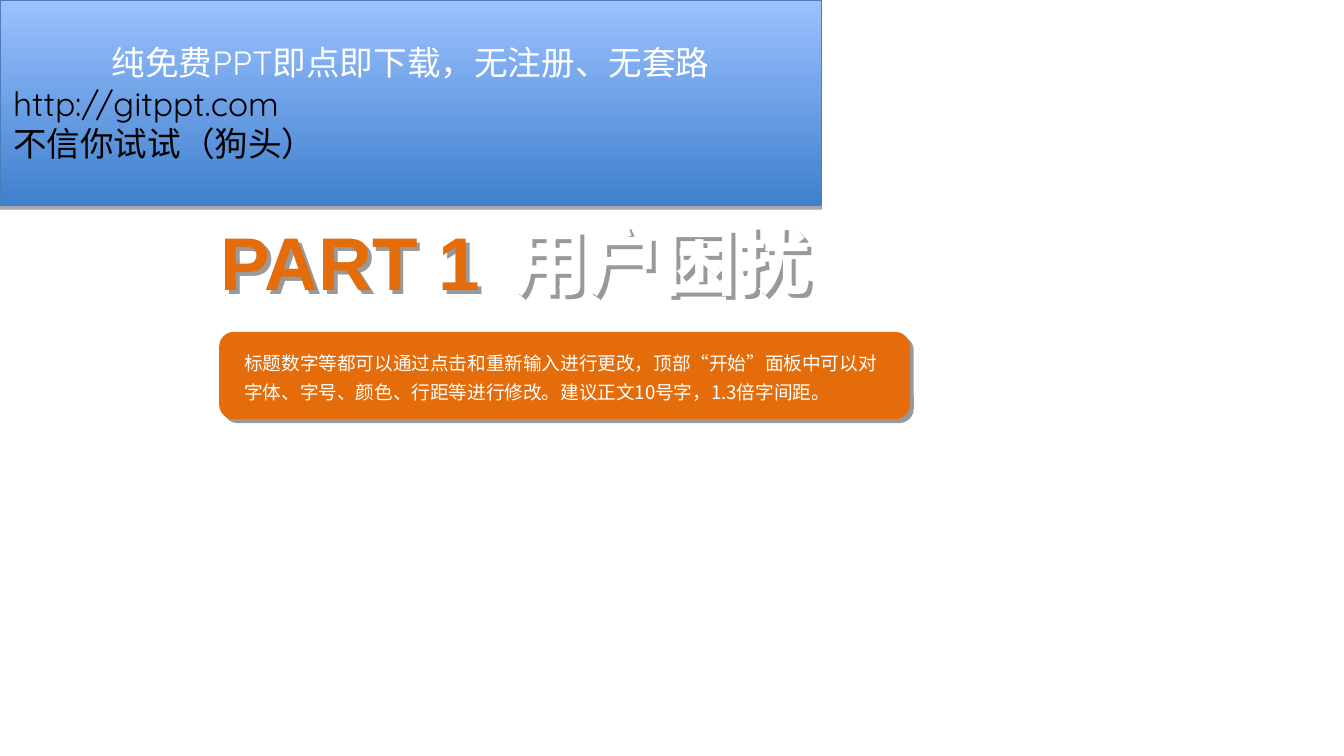
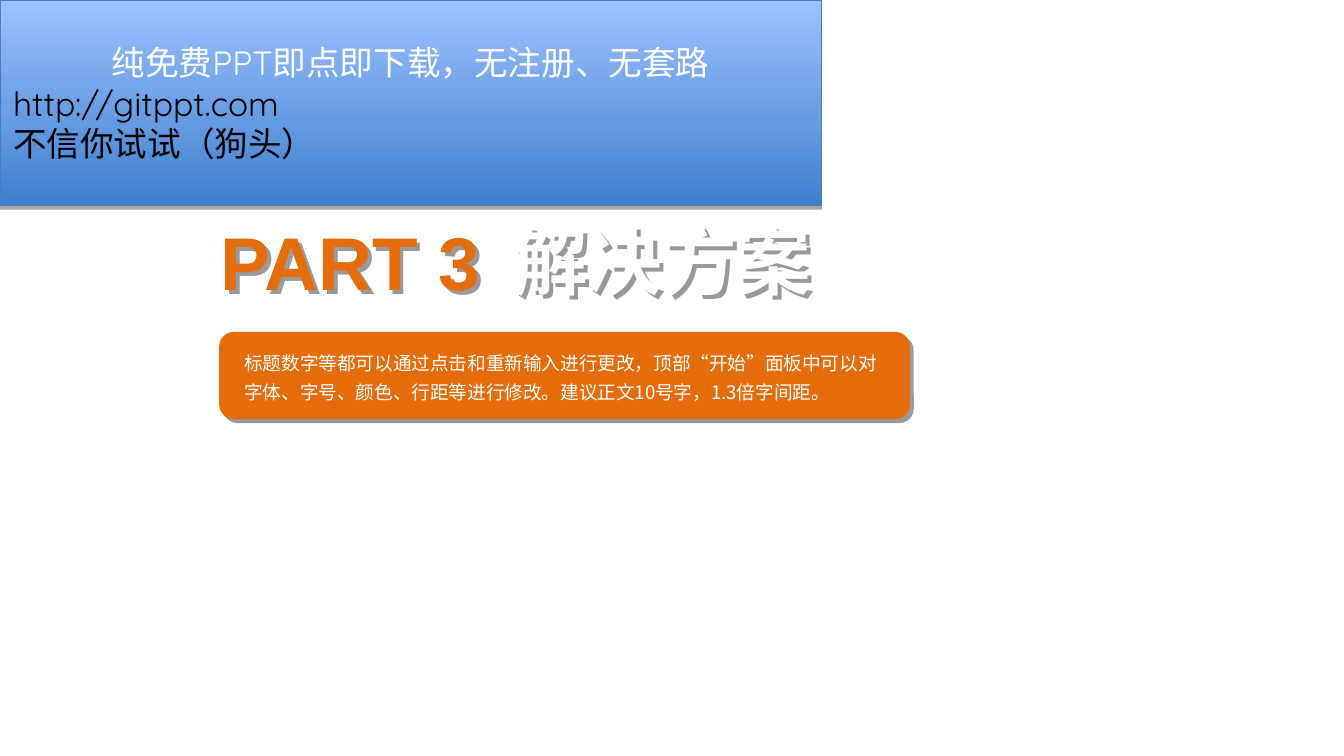
"""Build two section slides that share a banner, a part title and a note."""
from lxml import etree
from pptx import Presentation
from pptx.dml.color import RGBColor
from pptx.enum.shapes import MSO_SHAPE
from pptx.enum.text import MSO_ANCHOR, MSO_AUTO_SIZE, PP_ALIGN
from pptx.oxml.ns import qn
from pptx.util import Pt

RECTANGLE = MSO_SHAPE.RECTANGLE
ROUNDED = MSO_SHAPE.ROUNDED_RECTANGLE
MIDDLE = MSO_ANCHOR.MIDDLE
GROW = MSO_AUTO_SIZE.SHAPE_TO_FIT_TEXT
LEFT, CENTER = PP_ALIGN.LEFT, PP_ALIGN.CENTER

rgb = RGBColor.from_string
ORANGE, WHITE, BLACK = "E46C0A", "FFFFFF", "000000"
BANNER_STOPS = ["3F80CD", "9BC1FF"]
BANNER_EDGE = "4A7EBB"
CJK_FONT = "Noto Sans CJK SC"

SECTIONS = [("PART 1", "用户困扰"), ("PART 3", "解决方案")]
NOTE = ("标题数字等都可以通过点击和重新输入进行更改，顶部“开始”面板中可以对"
        "字体、字号、颜色、行距等进行修改。建议正文10号字，1.3倍字间距。")
BANNER_LINES = [
    ("纯免费PPT即点即下载，无注册、无套路", WHITE, CENTER),
    ("http://gitppt.com", BLACK, LEFT),
    ("不信你试试（狗头）", BLACK, LEFT),
]


def cast_shadow(shape, opacity, distance, angle):
    shape.shadow.inherit = False
    effects = shape._element.spPr.find(qn("a:effectLst"))
    shadow = etree.SubElement(effects, qn("a:outerShdw"), dist=str(Pt(distance)),
                              dir=str(angle * 60000), algn="tl", rotWithShape="0")
    tone = etree.SubElement(shadow, qn("a:srgbClr"), val=BLACK)
    etree.SubElement(tone, qn("a:alpha"), val=str(opacity * 1000))


def style_text(paragraph, size, font, color, bold=False):
    for run in paragraph.runs:
        run.font.size = Pt(size)
        run.font.bold = bold
        run.font.name = font
        run.font.color.rgb = rgb(color)
        etree.SubElement(run._r.get_or_add_rPr(), qn("a:ea"), typeface=CJK_FONT)


prs = Presentation()
prs.slide_width, prs.slide_height = Pt(720), Pt(405)

for part, topic in SECTIONS:
    slide = prs.slides.add_slide(prs.slide_layouts[6])
    shapes = slide.shapes

    note_panel = shapes.add_shape(ROUNDED, Pt(117.4), Pt(177.8), Pt(370), Pt(46.8))
    note_panel.fill.solid()
    note_panel.fill.fore_color.rgb = rgb(ORANGE)
    note_panel.line.fill.background()
    cast_shadow(note_panel, 40, 3, 45)

    for heading, left, top, width, color in [(part, 110.9, 112.3, 156.2, ORANGE),
                                             (topic, 267.8, 111.6, 174.2, WHITE)]:
        title = shapes.add_textbox(Pt(left), Pt(top), Pt(width), Pt(55.4))
        title.text_frame.text = heading
        title.text_frame.word_wrap = False
        title.text_frame.auto_size = GROW
        style_text(title.text_frame.paragraphs[0], 40, "Arial", color, bold=True)
        cast_shadow(title, 40, 3, 45)

    note = shapes.add_textbox(Pt(123.8), Pt(181.4), Pt(360), Pt(38.2))
    note.text_frame.text = NOTE
    note.text_frame.word_wrap = True
    note.text_frame.auto_size = GROW
    note.text_frame.paragraphs[0].line_spacing = 1.3
    style_text(note.text_frame.paragraphs[0], 10, CJK_FONT, WHITE)

    banner = shapes.add_shape(RECTANGLE, 0, 0, Pt(440), Pt(110.2))
    banner.fill.gradient()
    banner.fill.gradient_angle = 90
    for position, (stop, color) in enumerate(zip(banner.fill.gradient_stops, BANNER_STOPS)):
        stop.position = position
        stop.color.rgb = rgb(color)
    banner.line.color.rgb = rgb(BANNER_EDGE)
    banner.line.width = Pt(0.75)
    cast_shadow(banner, 35, 1.8, 90)
    banner.text_frame.word_wrap = True
    banner.text_frame.vertical_anchor = MIDDLE
    banner.text_frame.text = "\n".join(line for line, _, _ in BANNER_LINES)
    for paragraph, (_, color, alignment) in zip(banner.text_frame.paragraphs, BANNER_LINES):
        paragraph.alignment = alignment
        style_text(paragraph, 18, "Quicksand", color)

prs.save("out.pptx")
